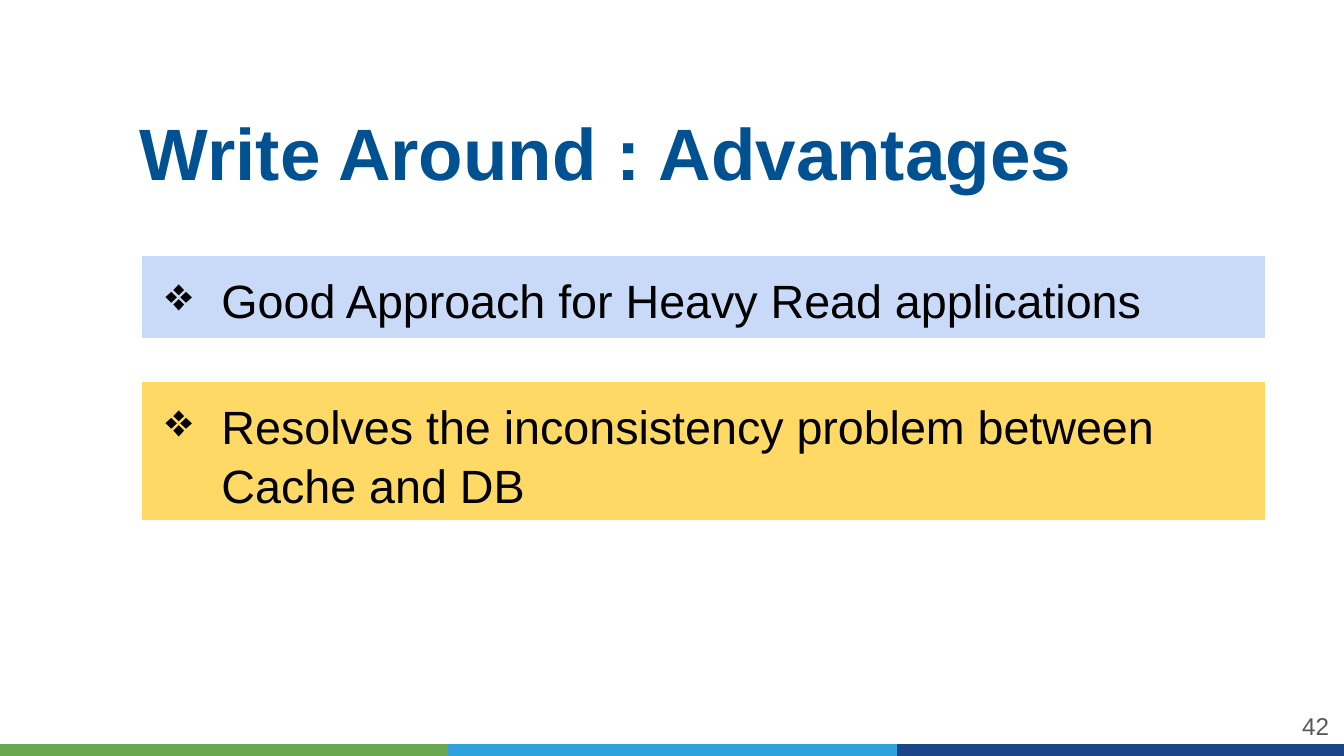
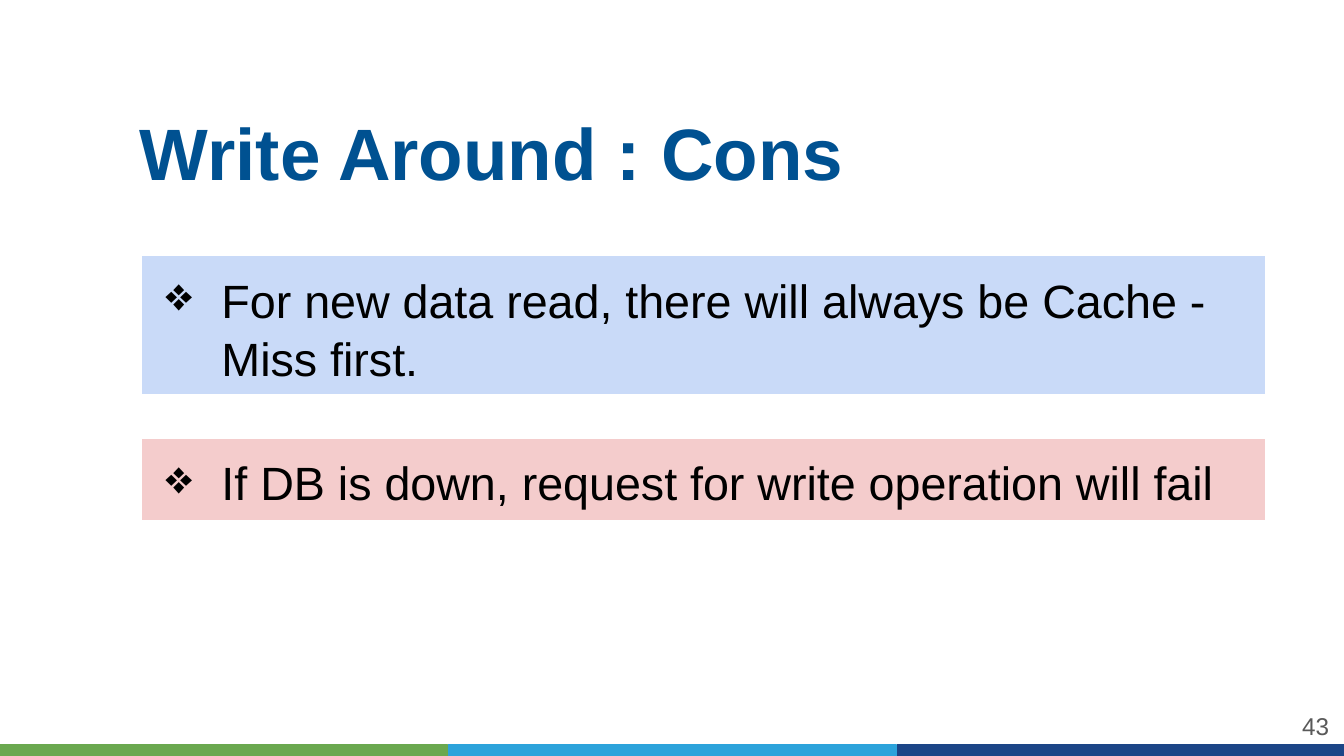
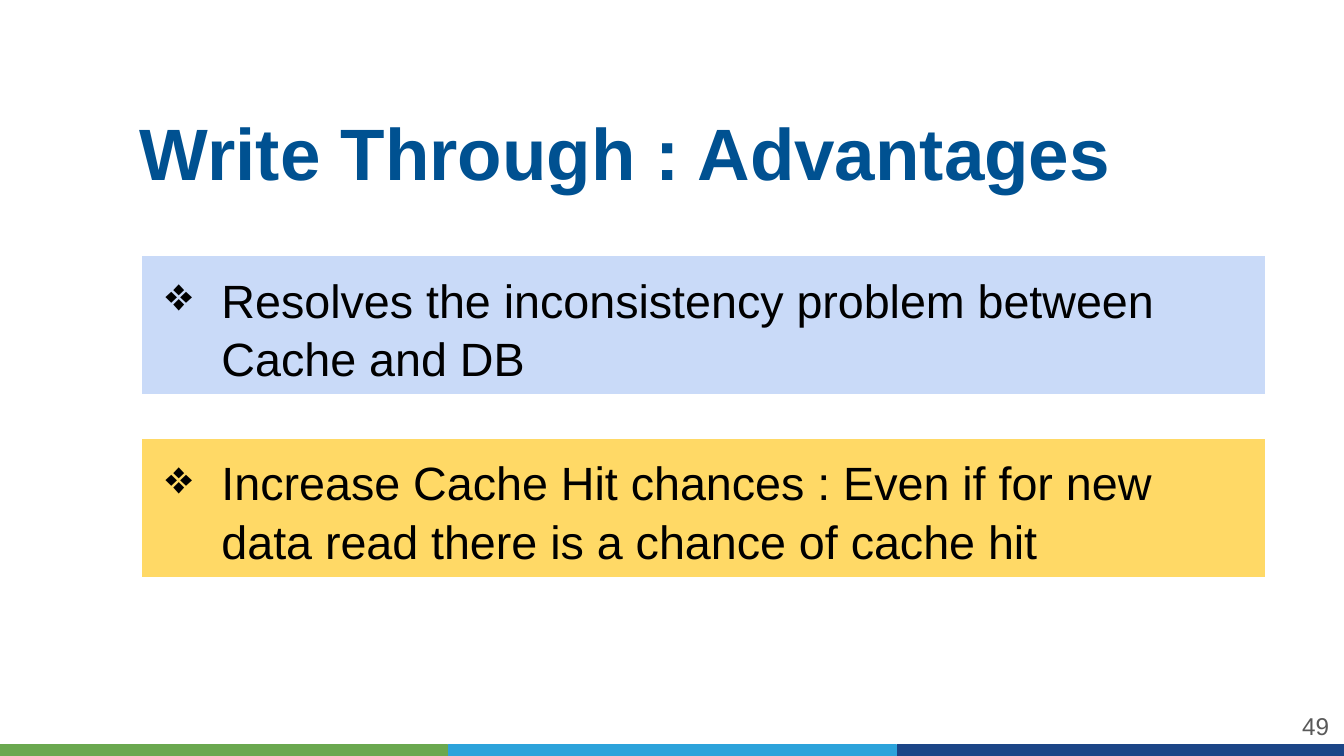
from dataclasses import dataclass

from lxml.etree import SubElement
from pptx import Presentation
from pptx.dml.color import RGBColor as Color
from pptx.enum.shapes import MSO_SHAPE as Shape
from pptx.enum.text import MSO_ANCHOR as Anchor, MSO_AUTO_SIZE as AutoSize, PP_ALIGN as Align
from pptx.oxml.ns import qn
from pptx.util import Pt


@dataclass(frozen=True)
class Theme:
    font: str = "Arial"
    title_size: int = 39
    point_size: int = 25
    number_size: int = 13
    title: str = "005191"
    number: str = "595959"
    ink: str = "000000"
    outline: str = "FFFFFF"
    blue: str = "C9DAF8"
    yellow: str = "FFD966"
    red: str = "F4CCCC"
    bands: tuple = ("6AA84F", "2CA3DB", "1C4587")


theme = Theme()


def add_rectangle(shapes, left, top, width, height, fill, outline):
    box = shapes.add_shape(Shape.RECTANGLE, Pt(left), Pt(top), Pt(width), Pt(height))
    box.shadow.inherit = False
    box.fill.solid()
    box.fill.fore_color.rgb = Color.from_string(fill)
    box.line.color.rgb = Color.from_string(outline)
    box.line.width = Pt(0.75)
    return box


def write_text(box, text, size, color, inset, anchor, align=Align.LEFT, bold=False):
    frame = box.text_frame
    frame.word_wrap = True
    frame.vertical_anchor = anchor
    frame.margin_left = frame.margin_right = Pt(inset)
    frame.margin_top = frame.margin_bottom = Pt(inset)
    para = frame.paragraphs[0]
    para.text = text
    para.alignment = align
    para.font.name = theme.font
    para.font.size = Pt(size)
    para.font.bold = bold
    para.font.color.rgb = Color.from_string(color)
    return para


pages = [
    (42, "Write Around : Advantages", [
        ("Good Approach for Heavy Read applications", 1, theme.blue),
        ("Resolves the inconsistency problem between Cache and DB", 2, theme.yellow),
    ]),
    (43, "Write Around : Cons", [
        ("For new data read, there will always be Cache - Miss first.", 2, theme.blue),
        ("If DB is down, request for write operation will fail", 1, theme.red),
    ]),
    (49, "Write Through : Advantages", [
        ("Resolves the inconsistency problem between Cache and DB", 2, theme.blue),
        ("Increase Cache Hit chances : Even if for new data read there is a chance of cache hit",
         2, theme.yellow),
    ]),
]

band_width, band_step = 239.6, 240.4
point_inset, line_height, point_gap = 7.2, 30.2, 23

deck = Presentation()
deck.slide_width, deck.slide_height = Pt(720), Pt(405)

for number, title, points in pages:
    page = deck.slides.add_slide(deck.slide_layouts[6])

    footer = page.shapes.add_group_shape()
    for index, color in enumerate(theme.bands):
        add_rectangle(footer.shapes, index * band_step, 399, band_width, 6, color, color)

    number_box = page.shapes.add_textbox(Pt(674), Pt(373.5), Pt(43), Pt(31))
    write_text(number_box, str(number), theme.number_size, theme.number, 5,
               Anchor.MIDDLE, Align.RIGHT)

    title_box = page.shapes.add_textbox(Pt(70), Pt(51.5), Pt(624), Pt(58))
    write_text(title_box, title, theme.title_size, theme.title, 5, Anchor.BOTTOM, bold=True)

    top = 136.8
    for text, lines, fill in points:
        height = 2 * point_inset + lines * line_height
        point_box = add_rectangle(page.shapes, 75.6, top, 602.6, height, fill, theme.outline)
        para = write_text(point_box, text, theme.point_size, theme.ink, point_inset, Anchor.TOP)
        para.line_spacing = 1.05
        point_box.text_frame.auto_size = AutoSize.SHAPE_TO_FIT_TEXT
        settings = para.font._element.getparent()
        settings.set("marL", str(Pt(36)))
        settings.set("indent", str(Pt(-30)))
        bullet = SubElement(settings, qn("a:buChar"), char="❖")
        settings.find(qn("a:defRPr")).addprevious(bullet)
        top += height + point_gap

deck.save("out.pptx")
